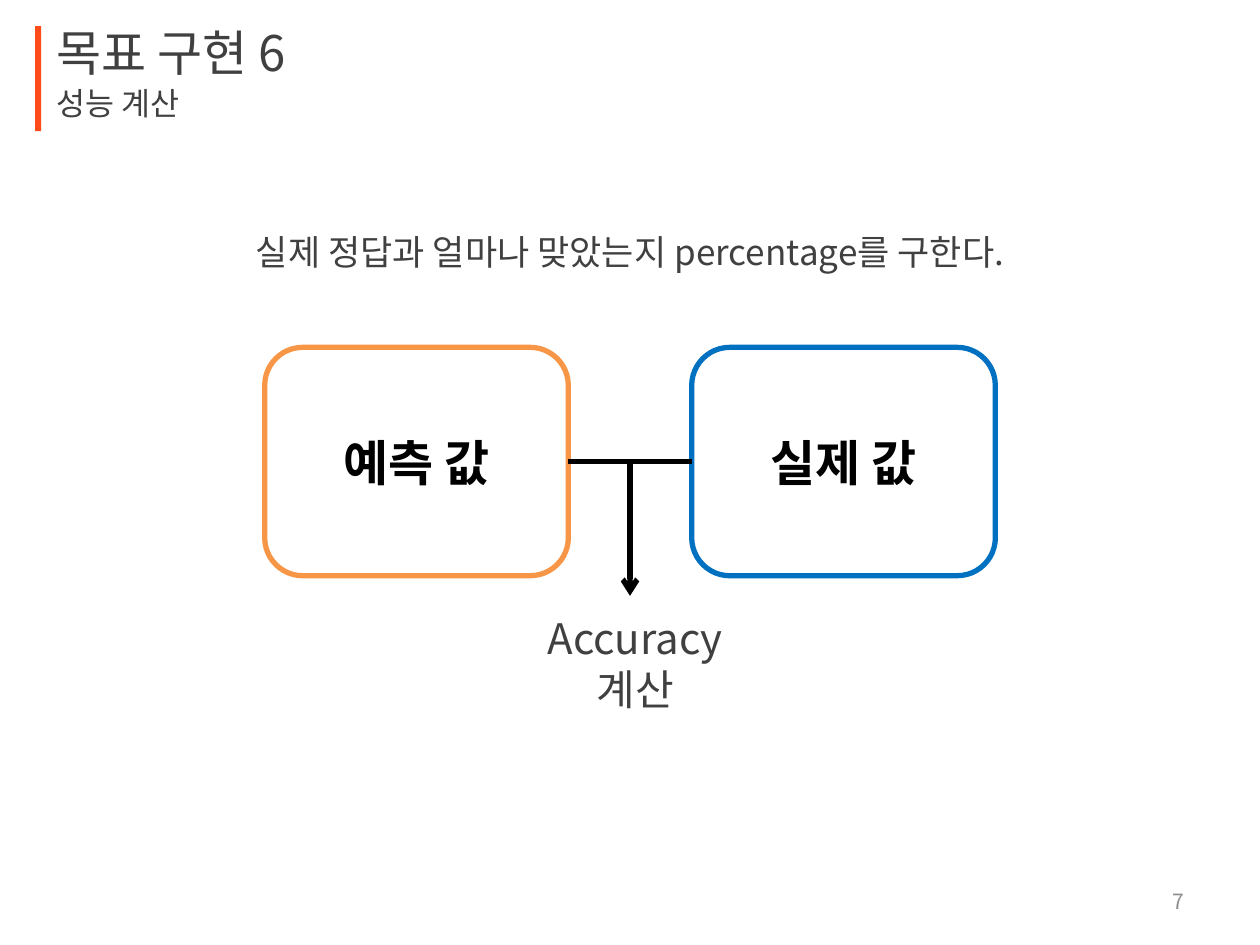
from pptx import Presentation
from pptx.dml.color import RGBColor
from pptx.enum.shapes import MSO_CONNECTOR as Line, MSO_SHAPE as Shape
from pptx.enum.text import MSO_ANCHOR as Anchor, PP_ALIGN as Align
from pptx.oxml.ns import qn
from pptx.util import Pt
from lxml.etree import SubElement

TITLE = "목표 구현 6"
SUB = "성능 계산"
LEAD = "실제 정답과 얼마나 맞았는지 percentage를 구한다."
CARDS = [("예측 값", "F79646"), ("실제 값", "0070C0")]
RESULT = "Accuracy\n계산"
PAGE = "7"

THEME = {
    "font": "Noto Sans CJK KR",
    "text": "404040", "page": "8C8C8C", "accent": "FF4A19",
    "ink": "000000", "paper": "FFFFFF",
    "head": 28, "result": 24, "lead": 20, "sub": 18, "small": 12,
    "line": 3,
}
WIDTH, HEIGHT = 720, 540
CARD_W, CARD_H, CARD_TOP, GAP = 173.5, 130.5, 198.5, 70.5


def rgb(name):
    return RGBColor.from_string(THEME.get(name, name))


def write(shape, text, size, color="text", align=Align.LEFT,
          anchor=Anchor.TOP, bold=False, wrap=False):
    frame = shape.text_frame
    frame.text = text
    frame.word_wrap = wrap
    frame.vertical_anchor = anchor
    for para in frame.paragraphs:
        para.alignment = align
        for run in para.runs:
            font = run.font
            font.name, font.size, font.bold = THEME["font"], Pt(THEME[size]), bold
            font.color.rgb = rgb(color)
            # East Asian glyphs take their typeface from a:ea
            SubElement(run._r.rPr, qn("a:ea"), typeface=THEME["font"])


def place(shape, *box):
    shape.left, shape.top, shape.width, shape.height = map(Pt, box)
    return shape


def label(slide, box, *args, **opts):
    write(slide.shapes.add_textbox(*map(Pt, box)), *args, **opts)


def block(slide, kind, box, fill, edge=None):
    shape = slide.shapes.add_shape(kind, *map(Pt, box))
    shape.shadow.inherit = False
    shape.fill.solid()
    shape.fill.fore_color.rgb = rgb(fill)
    if edge:
        shape.line.color.rgb = rgb(edge)
        shape.line.width = Pt(THEME["line"])
    else:
        shape.line.fill.background()
    return shape


def link(slide, ends, arrow=False):
    wire = slide.shapes.add_connector(Line.STRAIGHT, *map(Pt, ends))
    wire.line.color.rgb = rgb("ink")
    wire.line.width = Pt(THEME["line"])
    if arrow:
        SubElement(wire.line._get_or_add_ln(), qn("a:tailEnd"), type="arrow")
    SubElement(wire._element.spPr, qn("a:effectLst"))


def header(slide):
    block(slide, Shape.RECTANGLE, (20, 15, 3.5, 60), "accent")
    title = place(slide.shapes.title, 25, 9.5, 164, 41)
    write(title, TITLE, "head")
    label(slide, (25, 44.5, 93.5, 29), SUB, "sub")


def diagram(slide):
    left = (WIDTH - 2 * CARD_W - GAP) / 2
    mid_x, mid_y = WIDTH / 2, CARD_TOP + CARD_H / 2
    for i, (text, edge) in enumerate(CARDS):
        box = (left + i * (CARD_W + GAP), CARD_TOP, CARD_W, CARD_H)
        card = block(slide, Shape.ROUNDED_RECTANGLE, box, "paper", edge)
        write(card, text, "head", "ink", Align.CENTER, Anchor.MIDDLE,
              bold=True, wrap=True)
    link(slide, (mid_x - GAP / 2, mid_y, mid_x + GAP / 2, mid_y))
    link(slide, (mid_x, mid_y, mid_x, 340.5), arrow=True)
    label(slide, (294.5, 346.5, 137, 65.5), RESULT, "result", align=Align.CENTER)


def main():
    deck = Presentation()
    deck.slide_width, deck.slide_height = Pt(WIDTH), Pt(HEIGHT)
    slide = deck.slides.add_slide(deck.slide_layouts[5])
    header(slide)
    label(slide, (110, 128, 500, 31.5), LEAD, "lead", align=Align.CENTER)
    diagram(slide)
    label(slide, (516, 500.5, 168, 28.5), PAGE, "small", "page",
          Align.RIGHT, Anchor.MIDDLE, wrap=True)
    deck.save("out.pptx")


if __name__ == "__main__":
    main()
